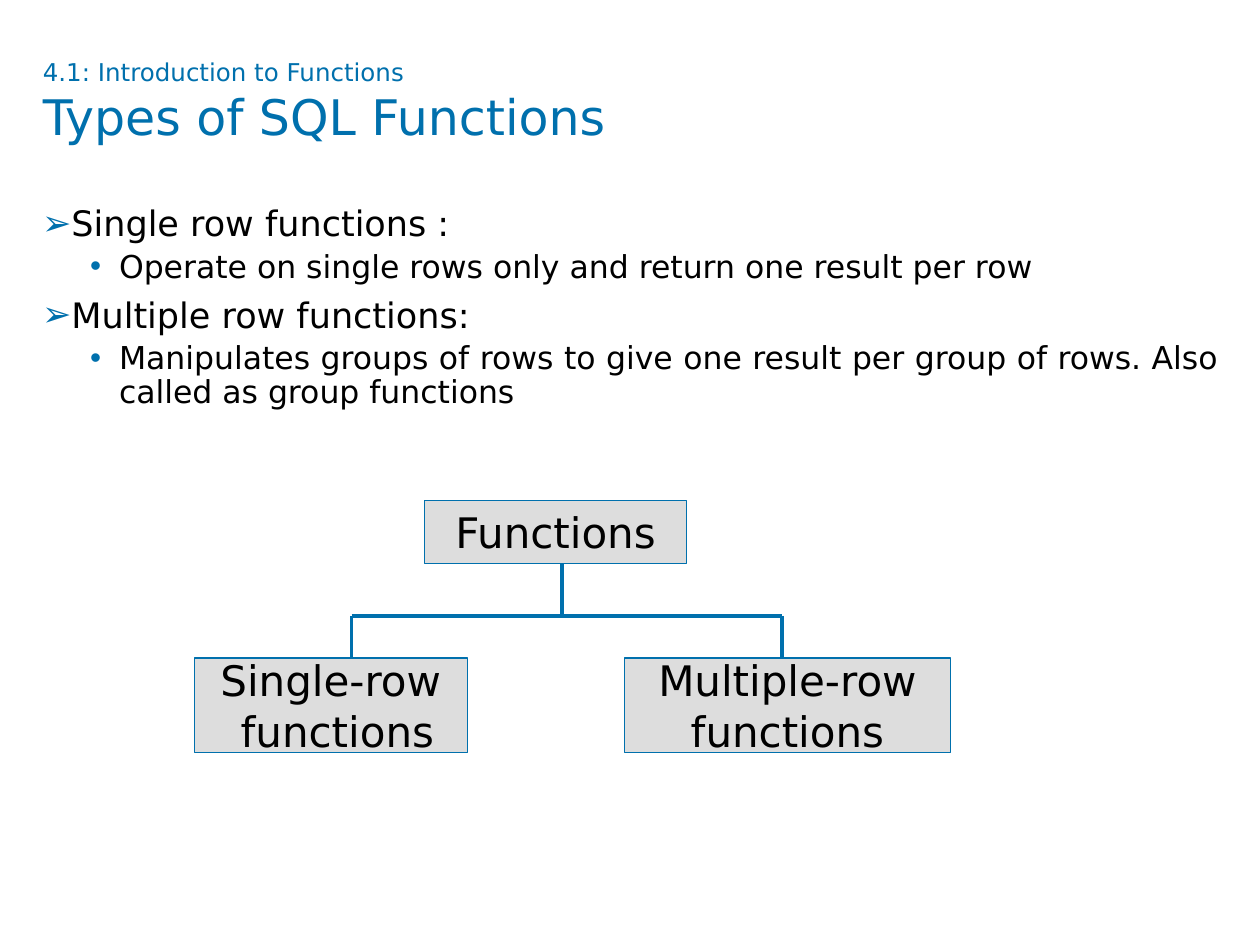
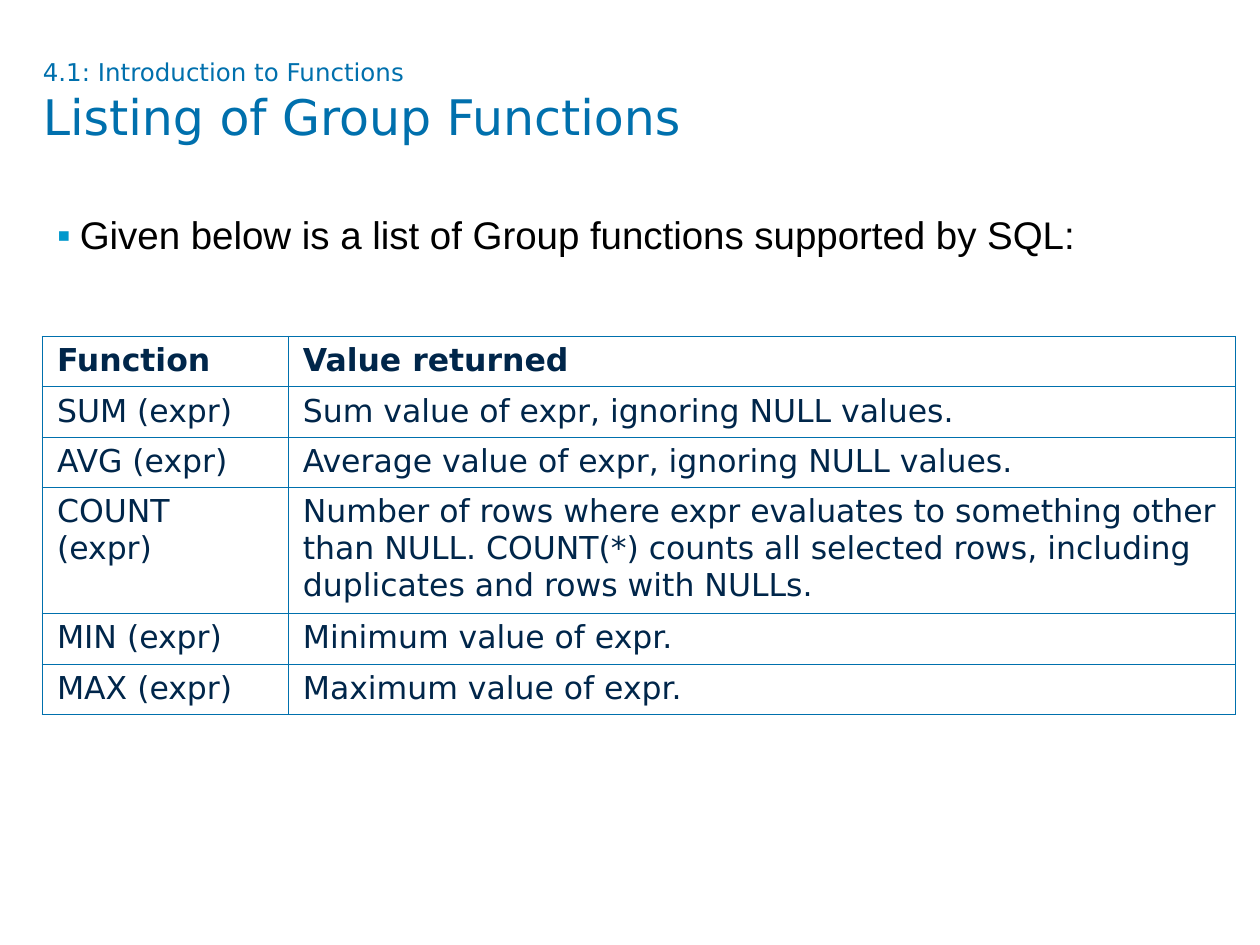
import pptx
import pptx.util
import pptx.dml.color
import pptx.enum.shapes
import pptx.enum.text
import pptx.oxml.ns
import lxml.etree

Pt = pptx.util.Pt
qn = pptx.oxml.ns.qn
ALIGN = pptx.enum.text.PP_ALIGN
ANCHOR = pptx.enum.text.MSO_ANCHOR

INK = {"blue": "0070AD", "sky": "0098CC", "navy": "00264A",
       "black": "000000", "grey": "DDDDDD", "white": "FFFFFF"}
SANS = "DejaVu Sans"

# Boxes are left, top, width, height.
HEAD = (24.5, 32.4, 672, 67.7)
LIST = (24, 118, 672.5, 366)
TREE = (111, 286, 432, 144)
GRID = (24, 192.2, 682, 216)


def tint(name):
    return pptx.dml.color.RGBColor.from_string(INK[name])


def place(shape, box):
    shape.left, shape.top, shape.width, shape.height = map(Pt, box)


def setup(frame, insets, anchor=ANCHOR.TOP, wrap=True):
    frame.margin_left, frame.margin_top, frame.margin_right, frame.margin_bottom = map(Pt, insets)
    frame.vertical_anchor = anchor
    frame.word_wrap = wrap
    frame.auto_size = pptx.enum.text.MSO_AUTO_SIZE.NONE


def write(para, text, size, ink, face=SANS, bold=False):
    run = para.add_run()
    run.text = text
    font = run.font
    font.size, font.name, font.bold = Pt(size), face, bold
    font.color.rgb = tint(ink)


def bullet(para, mark, ink, left, hang):
    """Give the paragraph a coloured bullet; set its spacing beforehand."""
    props = para._p.get_or_add_pPr()
    props.set("marL", str(Pt(left)))
    props.set("indent", str(-Pt(hang)))
    color = lxml.etree.SubElement(props, qn("a:buClr"))
    lxml.etree.SubElement(color, qn("a:srgbClr"), val=INK[ink])
    lxml.etree.SubElement(props, qn("a:buFont"), typeface="Arial")
    lxml.etree.SubElement(props, qn("a:buChar"), char=mark)


def start(deck, topic):
    """Add a slide with the shared two-line title."""
    slide = deck.slides.add_slide(deck.slide_layouts[1])
    title = slide.shapes.title
    place(title, HEAD)
    setup(title.text_frame, (0, 0, 0, 0))
    para = title.text_frame.paragraphs[0]
    para.alignment = ALIGN.LEFT
    write(para, "4.1: Introduction to Functions", 14, "blue")
    para.add_line_break()
    write(para, topic, 28, "blue")
    return slide


def outline(body, box, items):
    """Fill the body with (level, text) items."""
    looks = [(20, 7.5, "➢", 16.5), (18, 3.7, "•", 44)]
    place(body, box)
    frame = body.text_frame
    setup(frame, (0, 0, 0, 0))
    for index, (level, text) in enumerate(items):
        size, gap, mark, left = looks[level]
        para = frame.add_paragraph() if index else frame.paragraphs[0]
        para.level = level
        para.alignment = ALIGN.JUSTIFY
        para.line_spacing, para.space_before = 0.9, Pt(gap)
        bullet(para, mark, "blue", left, 16.5)
        write(para, text, size, "black")


def lead(body, box, text):
    place(body, box)
    setup(body.text_frame, (8.6, 5.8, 5.8, 5.8))
    para = body.text_frame.paragraphs[0]
    para.line_spacing, para.space_before, para.space_after = 0.9, Pt(0), Pt(6)
    bullet(para, "▪", "sky", 13, 13)
    write(para, text, 22, "black", "Arial")


def node(group, box, lines):
    rect = group.shapes.add_shape(
        pptx.enum.shapes.MSO_SHAPE.RECTANGLE, *map(Pt, box))
    rect.shadow.inherit = False
    rect.fill.solid()
    rect.fill.fore_color.rgb = tint("grey")
    rect.line.color.rgb = tint("blue")
    rect.line.width = Pt(0.75)
    frame = rect.text_frame
    setup(frame, (7.2, 3.6, 7.2, 3.6), ANCHOR.MIDDLE, False)
    for index, text in enumerate(lines):
        para = frame.add_paragraph() if index else frame.paragraphs[0]
        para.alignment = ALIGN.CENTER
        write(para, text, 24, "black")


def link(group, *ends):
    line = group.shapes.add_connector(
        pptx.enum.shapes.MSO_CONNECTOR.STRAIGHT, *map(Pt, ends))
    line.line.color.rgb = tint("blue")
    line.line.width = Pt(2)
    lxml.etree.SubElement(line._element.spPr, qn("a:effectLst"))


def tree(slide, box, root, leaves):
    """Draw a root over its leaves; each is (lines, offset, width, stem)."""
    left, top, _, height = box
    root_high, leaf_high, bus = 36, 54, top + 66
    leaf_top = top + height - leaf_high
    group = slide.shapes.add_group_shape()
    lines, shift, width, stem = root
    node(group, (left + shift, top, width, root_high), lines)
    link(group, left + stem, top + root_high, left + stem, bus)
    for lines, shift, width, stem in leaves:
        node(group, (left + shift, leaf_top, width, leaf_high), lines)
        link(group, left + stem, bus, left + stem, leaf_top)
    link(group, left + leaves[0][3], bus, left + leaves[-1][3], bus)


def border(cell):
    props = cell._tc.get_or_add_tcPr()
    for side in "LRTB":
        line = lxml.etree.SubElement(props, qn("a:ln" + side), w=str(Pt(0.45)))
        fill = lxml.etree.SubElement(line, qn("a:solidFill"))
        lxml.etree.SubElement(fill, qn("a:srgbClr"), val=INK["blue"])


def grid(slide, box, rows, first, tall):
    """Draw a two-column table; row number `tall` is 2.5 times as high."""
    width, height = box[2:]
    table = slide.shapes.add_table(len(rows), 2, *map(Pt, box)).table
    table.first_row = table.horz_banding = False
    table.columns[0].width = Pt(first)
    table.columns[1].width = Pt(width - first)
    unit = height / (len(rows) + 1.5)
    for index, texts in enumerate(rows):
        table.rows[index].height = Pt(unit * (2.5 if index == tall else 1))
        for cell, text in zip(table.rows[index].cells, texts):
            border(cell)
            cell.fill.solid()
            cell.fill.fore_color.rgb = tint("white")
            cell.margin_left = cell.margin_right = Pt(8.6)
            cell.margin_top = cell.margin_bottom = Pt(3.6)
            para = cell.text_frame.paragraphs[0]
            para.space_before = Pt(4.5)
            write(para, text, 18, "navy", bold=index == 0)


def types(deck):
    slide = start(deck, "Types of SQL Functions")
    outline(slide.placeholders[1], LIST, [
        (0, "Single row functions :"),
        (1, "Operate on single rows only and return one result per row"),
        (0, "Multiple row functions:"),
        (1, "Manipulates groups of rows to give one result per group of rows. "
            "Also called as group functions"),
    ])
    tree(slide, TREE, (["Functions"], 131.5, 150, 210), [
        (["Single-row", " functions"], 0, 156, 90),
        (["Multiple-row", "functions"], 246, 186, 336),
    ])


def listing(deck):
    slide = start(deck, "Listing of Group Functions")
    left, top, _, height = LIST
    lead(slide.placeholders[1], (left, top, 696, height),
         "Given below is a list of Group functions supported by SQL:")
    grid(slide, GRID, [
        ("Function", "Value returned"),
        ("SUM (expr)", "Sum value of expr, ignoring NULL values."),
        ("AVG (expr)", "Average value of expr, ignoring NULL values."),
        ("COUNT (expr)",
         "Number of rows where expr evaluates to something other than NULL. "
         "COUNT(*) counts all selected rows, including duplicates and rows "
         "with NULLs."),
        ("MIN (expr)", "Minimum value of expr."),
        ("MAX (expr)", "Maximum value of expr."),
    ], 140.5, 3)


def main():
    deck = pptx.Presentation()
    deck.slide_width, deck.slide_height = Pt(720), Pt(540)
    types(deck)
    listing(deck)
    deck.save("out.pptx")


if __name__ == "__main__":
    main()
